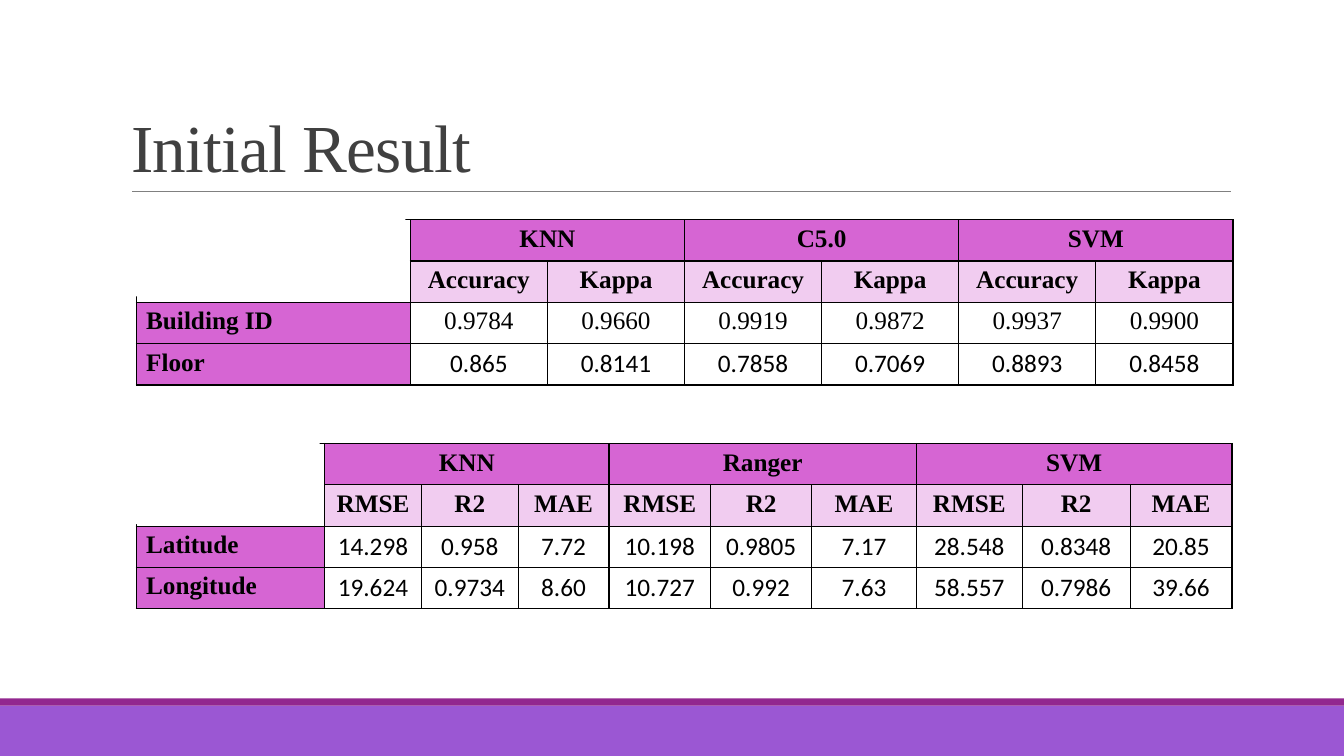
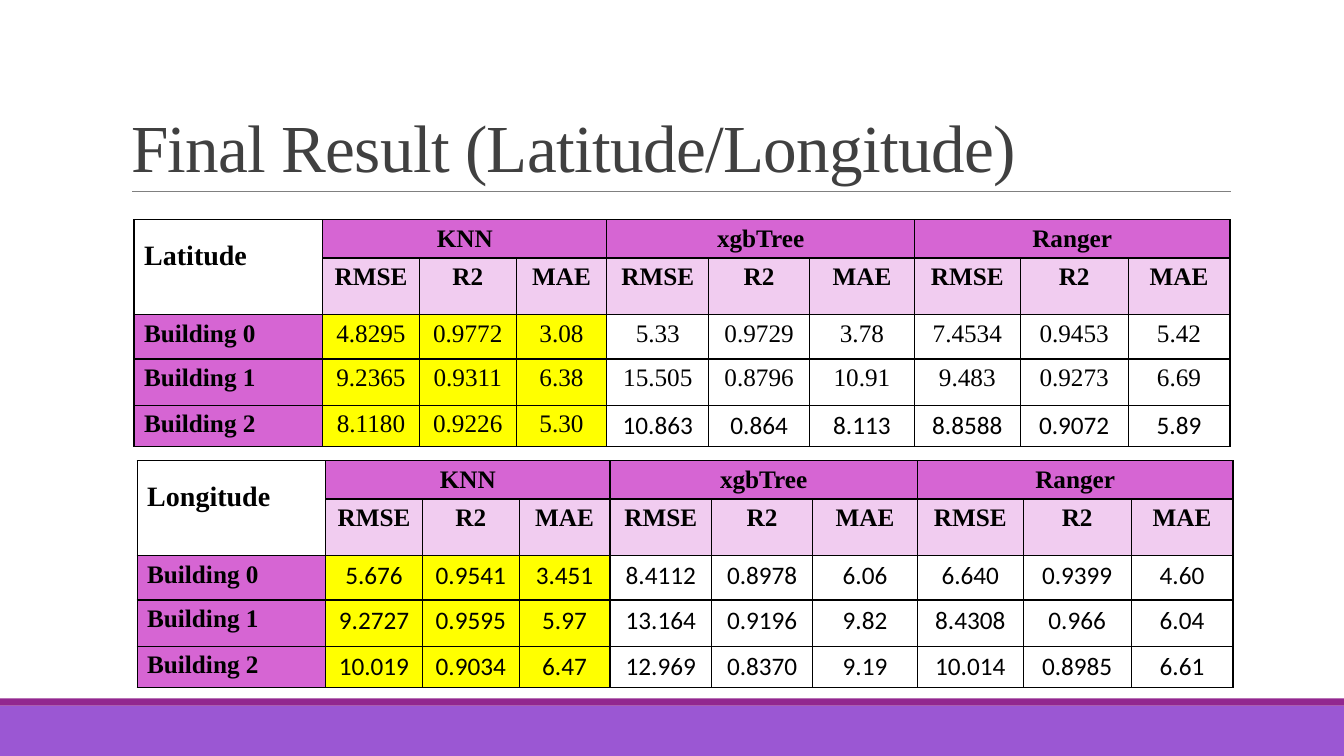
from dataclasses import dataclass

from lxml import etree
from pptx import Presentation
from pptx import util as u
from pptx.dml.color import RGBColor
from pptx.enum import shapes, text
from pptx.oxml import ns

# The slide is a grid of 1333 x 750 cells; all lengths count these cells.
GRID_COLUMNS, GRID_ROWS = 1333, 750
CELL = u.Inches(0.01)

BLACK = RGBColor(0x00, 0x00, 0x00)
WHITE = RGBColor(0xFF, 0xFF, 0xFF)
TITLE_GRAY = RGBColor(0x40, 0x40, 0x40)
RULE_GRAY = RGBColor(0x80, 0x80, 0x80)
BAND_VIOLET = RGBColor(0x9B, 0x57, 0xD3)
BAND_PURPLE = RGBColor(0x92, 0x27, 0x8F)
HEADER_PINK = RGBColor(0xD6, 0x65, 0xD3)
METRIC_PINK = RGBColor(0xF1, 0xCC, 0xF0)
BEST_YELLOW = RGBColor(0xFF, 0xFF, 0x00)

SERIF, SANS = "Times New Roman", "Calibri"
TITLE_ONLY = 5

CLASS_METRICS = ("Accuracy", "Kappa")
ERROR_METRICS = ("RMSE", "R2", "MAE")
CLASS_COLUMNS = (272,) + (136,) * 6
ERROR_COLUMNS = (187, 96, 96, 90, 101, 100, 104, 105, 107, 101)
EVEN_ROWS = (41,) * 4
FINAL_ROWS = (38, 56, 44, 46, 41)
FINAL_MODELS = ("KNN", "xgbTree", "Ranger")


@dataclass(frozen=True)
class Box:
    left: int
    top: int
    width: int
    height: int

    def lengths(self) -> tuple[int, ...]:
        return tuple(n * CELL for n in (self.left, self.top, self.width, self.height))


@dataclass(frozen=True)
class ResultRow:
    label: str
    values: str
    serif_count: int = 0  # leading values set in the serif font


@dataclass(frozen=True)
class ResultTable:
    left: int
    top: int
    columns: tuple[int, ...]
    rows: tuple[int, ...]
    models: tuple[str, ...]
    metrics: tuple[str, ...]
    results: tuple[ResultRow, ...]
    corner: str = ""
    highlight_count: int = 0
    corner_cover: Box | None = None


@dataclass(frozen=True)
class ResultSlide:
    title: str
    tables: tuple[ResultTable, ...]


SLIDES = (
    ResultSlide("Initial Result", (
        ResultTable(135, 218, CLASS_COLUMNS, EVEN_ROWS, ("KNN", "C5.0", "SVM"), CLASS_METRICS, (
            ResultRow("Building ID", "0.9784 0.9660 0.9919 0.9872 0.9937 0.9900", 6),
            ResultRow("Floor", "0.865 0.8141 0.7858 0.7069 0.8893 0.8458"),
        ), corner_cover=Box(120, 205, 282, 89)),
        ResultTable(135, 440, ERROR_COLUMNS, EVEN_ROWS, ("KNN", "Ranger", "SVM"), ERROR_METRICS, (
            ResultRow("Latitude", "14.298 0.958 7.72 10.198 0.9805 7.17 28.548 0.8348 20.85"),
            ResultRow("Longitude", "19.624 0.9734 8.60 10.727 0.992 7.63 58.557 0.7986 39.66"),
        ), corner_cover=Box(120, 431, 197, 89)),
    )),
    ResultSlide("Final Result (Latitude/Longitude)", (
        ResultTable(133, 218, ERROR_COLUMNS, FINAL_ROWS, FINAL_MODELS, ERROR_METRICS, (
            ResultRow("Building 0", "4.8295 0.9772 3.08 5.33 0.9729 3.78 7.4534 0.9453 5.42", 9),
            ResultRow("Building 1", "9.2365 0.9311 6.38 15.505 0.8796 10.91 9.483 0.9273 6.69", 9),
            ResultRow("Building 2", "8.1180 0.9226 5.30 10.863 0.864 8.113 8.8588 0.9072 5.89", 3),
        ), "Latitude", highlight_count=3),
        ResultTable(136, 457, ERROR_COLUMNS, FINAL_ROWS, FINAL_MODELS, ERROR_METRICS, (
            ResultRow("Building 0", "5.676 0.9541 3.451 8.4112 0.8978 6.06 6.640 0.9399 4.60"),
            ResultRow("Building 1", "9.2727 0.9595 5.97 13.164 0.9196 9.82 8.4308 0.966 6.04"),
            ResultRow("Building 2", "10.019 0.9034 6.47 12.969 0.8370 9.19 10.014 0.8985 6.61"),
        ), "Longitude", highlight_count=3),
    )),
)


def write(frame, content: str, *, size: float = 18, font: str = SERIF,
          color: RGBColor = BLACK, bold: bool = False, spacing: float = 1.0,
          align=text.PP_ALIGN.LEFT, tracking: int = 0) -> None:
    """Set the frame's only paragraph; tracking is in hundredths of a point."""
    paragraph = frame.paragraphs[0]
    paragraph.alignment = align
    paragraph.line_spacing = spacing
    run = paragraph.add_run()
    run.text = content
    run.font.size = u.Pt(size)
    run.font.name = font
    run.font.bold = bold
    run.font.color.rgb = color
    if tracking:
        run.font._element.set("spc", str(tracking))


def add_rectangle(slide, box: Box, color: RGBColor):
    shape = slide.shapes.add_shape(shapes.MSO_SHAPE.RECTANGLE, *box.lengths())
    shape.shadow.inherit = False
    shape.fill.solid()
    shape.fill.fore_color.rgb = color
    shape.line.fill.background()
    return shape


def add_title_rule(slide):
    rule = slide.shapes.add_connector(
        shapes.MSO_CONNECTOR.STRAIGHT, 131 * CELL, 190 * CELL, 1221 * CELL, 190 * CELL)
    rule.line.color.rgb = RULE_GRAY
    rule.line.width = u.Pt(0.5)
    etree.SubElement(rule.element.spPr, ns.qn("a:effectLst"))
    return rule


def decorate_layout(layout, slide) -> None:
    """Draw bands and rule on the slide, then move them to its layout."""
    for placeholder in list(layout.placeholders):
        if placeholder.placeholder_format.type != shapes.PP_PLACEHOLDER.TITLE:
            layout.shapes.element.remove(placeholder.element)
    decorations = (
        add_rectangle(slide, Box(0, 700, GRID_COLUMNS, 50), BAND_VIOLET),
        add_rectangle(slide, Box(0, 693, GRID_COLUMNS, 7), BAND_PURPLE),
        add_title_rule(slide),
    )
    for shape in decorations:
        layout.shapes.element.append(shape.element)


def add_title(slide, content: str) -> None:
    title = slide.shapes.title
    title.left, title.top, title.width, title.height = Box(120, 31, 1100, 159).lengths()
    frame = title.text_frame
    frame.word_wrap = True
    frame.auto_size = text.MSO_AUTO_SIZE.NONE
    frame.vertical_anchor = text.MSO_ANCHOR.BOTTOM
    write(frame, content, size=48, color=TITLE_GRAY, spacing=0.85, tracking=-50)


def style_cell(cell, fill: RGBColor | None = None) -> None:
    """Add the black border first, since the schema puts it before the fill."""
    properties = cell._tc.get_or_add_tcPr()
    for side in ("lnL", "lnR", "lnT", "lnB"):
        border = etree.SubElement(properties, ns.qn(f"a:{side}"), w=str(u.Pt(1)))
        solid = etree.SubElement(border, ns.qn("a:solidFill"))
        etree.SubElement(solid, ns.qn("a:srgbClr"), val=str(BLACK))
    if fill is None:
        cell.fill.background()
    else:
        cell.fill.solid()
        cell.fill.fore_color.rgb = fill


def add_result_table(slide, data: ResultTable) -> None:
    box = Box(data.left, data.top, sum(data.columns), sum(data.rows))
    table = slide.shapes.add_table(len(data.rows), len(data.columns), *box.lengths()).table
    table.first_row = table.horz_banding = False
    for column, width in zip(table.columns, data.columns):
        column.width = width * CELL
    for row, height in zip(table.rows, data.rows):
        row.height = height * CELL

    def fill_cell(row: int, column: int, content: str, fill: RGBColor | None, **style) -> None:
        cell = table.cell(row, column)
        style_cell(cell, fill)
        if content:
            write(cell.text_frame, content, **style)

    center = text.PP_ALIGN.CENTER
    fill_cell(0, 0, data.corner, None, size=20, bold=True, spacing=1.5)
    fill_cell(1, 0, "", None)
    table.cell(0, 0).merge(table.cell(1, 0))

    span = len(data.metrics)
    for group, model in enumerate(data.models):
        first = 1 + group * span
        for offset, metric in enumerate(data.metrics):
            heading = "" if offset else model
            fill_cell(0, first + offset, heading, HEADER_PINK, bold=True, align=center)
            fill_cell(1, first + offset, metric, METRIC_PINK, bold=True, align=center)
        table.cell(0, first).merge(table.cell(0, first + span - 1))

    for row, result in enumerate(data.results, start=2):
        fill_cell(row, 0, result.label, HEADER_PINK, bold=True)
        for column, value in enumerate(result.values.split(), start=1):
            fill_cell(row, column, value,
                      BEST_YELLOW if column <= data.highlight_count else None,
                      font=SERIF if column <= result.serif_count else SANS, align=center)


def main() -> None:
    presentation = Presentation()
    presentation.slide_width = GRID_COLUMNS * CELL
    presentation.slide_height = GRID_ROWS * CELL
    layout = presentation.slide_layouts[TITLE_ONLY]
    for number, content in enumerate(SLIDES):
        slide = presentation.slides.add_slide(layout)
        if number == 0:
            decorate_layout(layout, slide)
        add_title(slide, content.title)
        for data in content.tables:
            add_result_table(slide, data)
        for data in content.tables:
            if data.corner_cover:
                add_rectangle(slide, data.corner_cover, WHITE)
    presentation.save("out.pptx")


if __name__ == "__main__":
    main()
